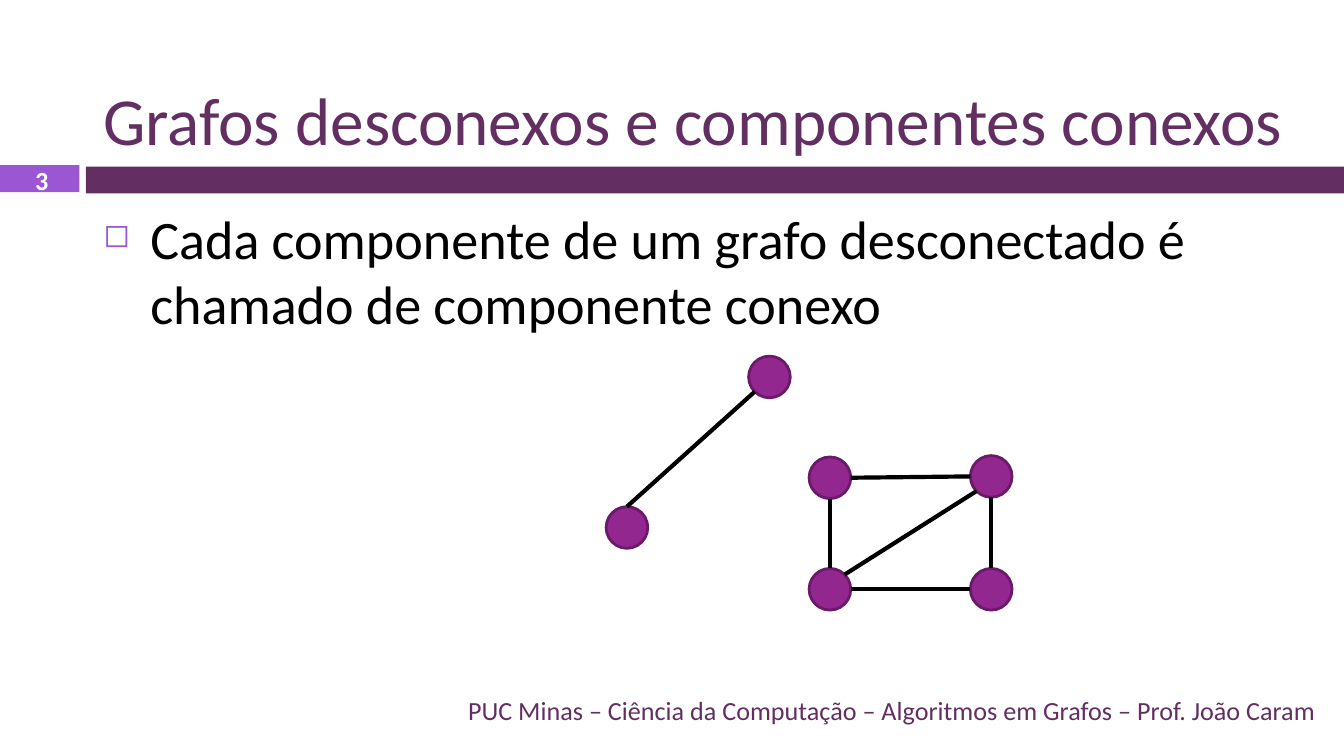
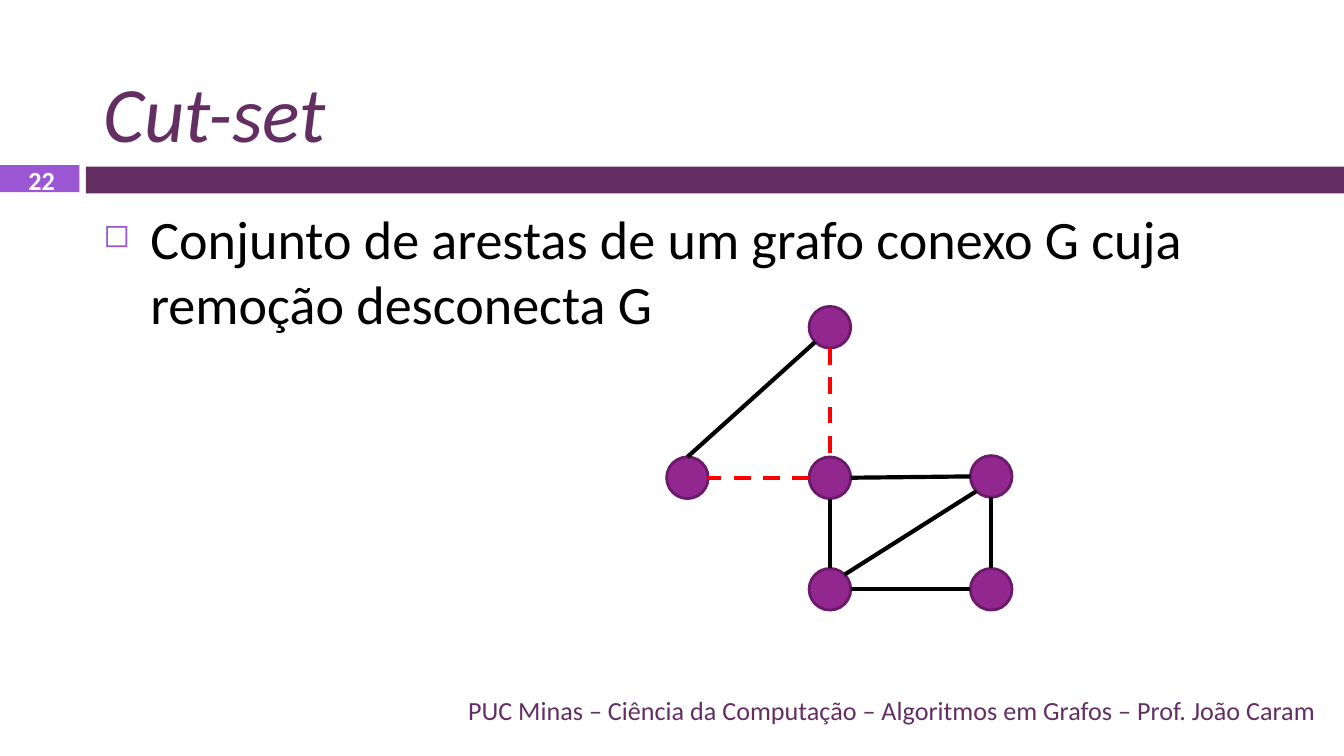
from math import sqrt
from lxml.etree import SubElement
from pptx import Presentation
from pptx.dml.color import RGBColor
from pptx.enum.dml import MSO_LINE
from pptx.enum.shapes import MSO_CONNECTOR, MSO_SHAPE
from pptx.enum.text import MSO_ANCHOR, PP_ALIGN
from pptx.oxml.ns import qn
from pptx.util import Inches, Pt

FONT = "Calibri"
COLORS = {
    "title": "632E62",
    "accent": "9B57D3",
    "node": "92278F",
    "node_line": "6A1A68",
    "text": "000000",
    "number": "FFFFFF",
    "edge": "000000",
    "cut": "FF0000",
}
FOOTER = "PUC Minas – Ciência da Computação – Algoritmos em Grafos – Prof. João Caram"
BANDS = [
    ((0.64, 1.24, 9.37, 0.2), "title"),
    ((0, 1.23, 0.59, 0.2), "accent"),
]

NODE_SIZE = 0.31
SQUARE_NODES = {
    "top_left": (6.02, 3.4),
    "bottom_left": (6.02, 4.23),
    "top_right": (7.22, 3.39),
    "bottom_right": (7.22, 4.23),
}
SQUARE_EDGES = [
    ("top_right", "W", "top_left", "E", "edge"),
    ("bottom_right", "W", "bottom_left", "E", "edge"),
    ("top_left", "S", "bottom_left", "N", "edge"),
    ("top_right", "S", "bottom_right", "N", "edge"),
    ("top_right", "SW", "bottom_left", "NE", "edge"),
]
PAIR_EDGE = ("pair_upper", "SW", "pair_lower", "N", "edge")
CUT_EDGES = [
    ("top_left", "W", "pair_lower", "E", "cut"),
    ("pair_upper", "S", "top_left", "N", "cut"),
]
DIAGONAL = 1 / sqrt(2)
SIDES = {
    "N": (0, -1),
    "S": (0, 1),
    "E": (1, 0),
    "W": (-1, 0),
    "NE": (DIAGONAL, -DIAGONAL),
    "SW": (-DIAGONAL, DIAGONAL),
}

PAGES = [
    {
        "number": "3",
        "title": "Grafos desconexos e componentes conexos",
        "title_format": {"size": 36},
        "body": "Cada componente de um grafo desconectado é chamado de componente conexo",
        "pair": {"pair_lower": (4.51, 3.77), "pair_upper": (5.57, 2.65)},
        "edges": SQUARE_EDGES + [PAIR_EDGE],
    },
    {
        "number": "22",
        "title": "Cut-set",
        "title_format": {"size": 42, "italic": True},
        "body": "Conjunto de arestas de um grafo conexo G cuja remoção desconecta G",
        "pair": {"pair_lower": (4.96, 3.4), "pair_upper": (6.02, 2.28)},
        "edges": SQUARE_EDGES + [PAIR_EDGE] + CUT_EDGES,
    },
]


def color(name):
    return RGBColor.from_string(COLORS[name])


def add_bullet(para):
    properties = para._p.get_or_add_pPr()
    properties.set("marL", str(Inches(0.35)))
    properties.set("indent", str(Inches(-0.35)))
    tint = SubElement(properties, qn("a:buClr"))
    SubElement(tint, qn("a:srgbClr"), val=COLORS["accent"])
    SubElement(properties, qn("a:buSzPct"), val="60000")
    SubElement(properties, qn("a:buChar"), char="◻")


def add_text(page, text, place, size=14, fill="text", bold=False, italic=False,
             align=PP_ALIGN.LEFT, anchor=MSO_ANCHOR.MIDDLE, bullet=False):
    box = page.shapes.add_textbox(*map(Inches, place))
    frame = box.text_frame
    frame.word_wrap = True
    frame.vertical_anchor = anchor
    para = frame.paragraphs[0]
    para.alignment = align
    if bullet:
        para.space_before = Pt(7)
        add_bullet(para)
    span = para.add_run()
    span.text = text
    span.font.name = FONT
    span.font.size = Pt(size)
    span.font.bold = bold
    span.font.italic = italic
    span.font.color.rgb = color(fill)


def add_filled(page, kind, place, fill, outline=None):
    shape = page.shapes.add_shape(kind, *map(Inches, place))
    shape.shadow.inherit = False
    shape.fill.solid()
    shape.fill.fore_color.rgb = color(fill)
    if outline:
        shape.line.color.rgb = color(outline)
        shape.line.width = Pt(1.5)
    else:
        shape.line.fill.background()


def node_side(corner, side):
    radius = NODE_SIZE / 2
    return [Inches(start + radius * (1 + step)) for start, step in zip(corner, SIDES[side])]


def add_edge(page, begin, end, kind):
    edge = page.shapes.add_connector(MSO_CONNECTOR.STRAIGHT, *begin, *end)
    edge.line.color.rgb = color(kind)
    edge.line.width = Pt(2.25)
    if kind == "cut":
        edge.line.dash_style = MSO_LINE.DASH
    SubElement(edge._element.spPr, qn("a:effectLst"))


def add_graph(page, nodes, edges):
    for left, top in nodes.values():
        add_filled(page, MSO_SHAPE.OVAL, (left, top, NODE_SIZE, NODE_SIZE), "node", "node_line")
    for first, first_side, second, second_side, kind in edges:
        begin = node_side(nodes[first], first_side)
        end = node_side(nodes[second], second_side)
        add_edge(page, begin, end, kind)


def add_page(deck, content):
    page = deck.slides.add_slide(deck.slide_layouts[6])
    for place, fill in BANDS:
        add_filled(page, MSO_SHAPE.RECTANGLE, place, fill)
    add_text(page, content["title"], (0.67, 0.13, 9.22, 1.1), fill="title",
             anchor=MSO_ANCHOR.BOTTOM, **content["title_format"])
    add_text(page, content["body"], (0.67, 1.48, 9.22, 3.58), size=29,
             anchor=MSO_ANCHOR.TOP, bullet=True)
    add_text(page, content["number"], (0.02, 1.24, 0.58, 0.2), fill="number",
             bold=True, align=PP_ALIGN.CENTER)
    add_text(page, FOOTER, (0.67, 5.13, 9.22, 0.3), fill="title", align=PP_ALIGN.RIGHT)
    add_graph(page, {**content["pair"], **SQUARE_NODES}, content["edges"])


def main():
    deck = Presentation()
    deck.slide_width = Inches(10)
    deck.slide_height = Inches(10 * 9 / 16)
    for content in PAGES:
        add_page(deck, content)
    deck.save("out.pptx")


if __name__ == "__main__":
    main()
